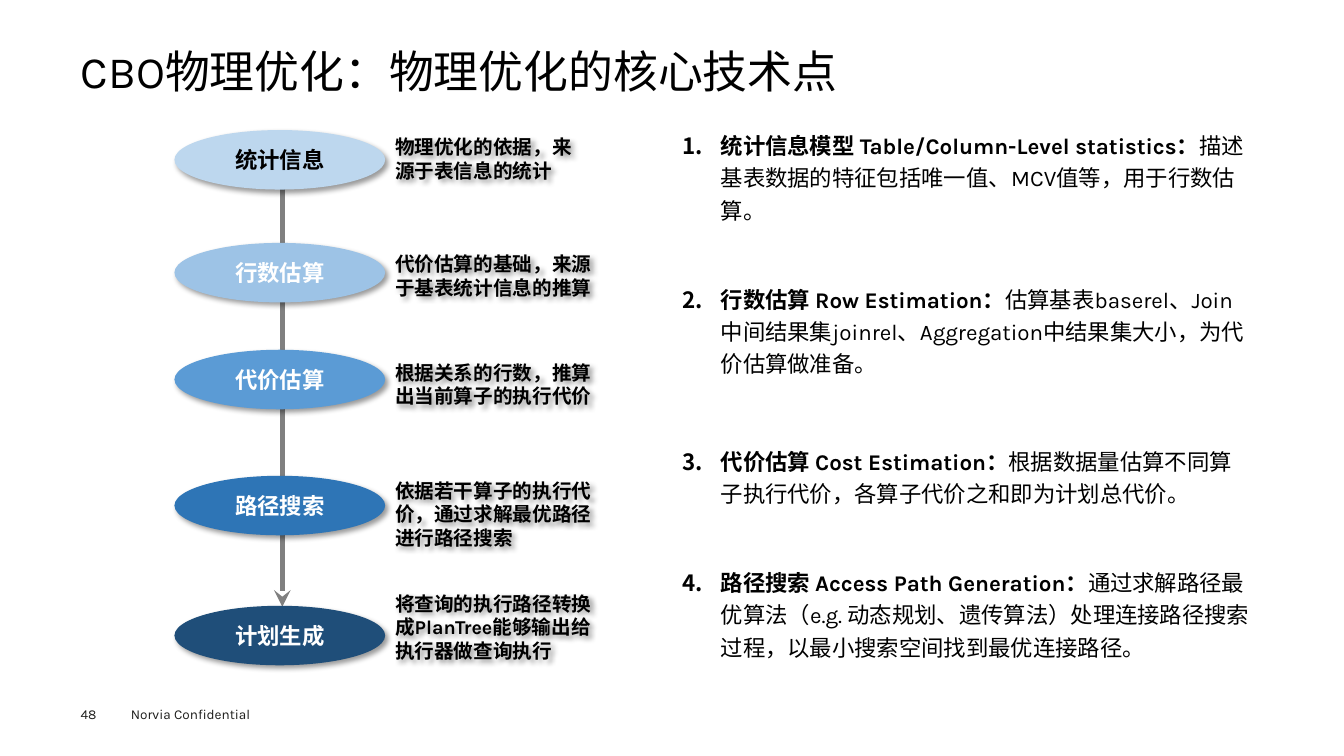
from lxml import etree
from pptx import Presentation
from pptx.dml.color import RGBColor
from pptx.enum.shapes import MSO_CONNECTOR, MSO_SHAPE
from pptx.enum.text import MSO_ANCHOR, MSO_AUTO_SIZE, PP_ALIGN
from pptx.oxml.ns import qn
from pptx.util import Inches, Pt

FONT = "Karla"
COLORS = {
    "black": "000000", "white": "FFFFFF", "footer": "1D1D1B", "flow": "808080",
    "blue1": "BDD7EE", "blue2": "9DC3E6", "blue3": "5B9BD5", "blue4": "2E75B6", "blue5": "1F4E79",
}
STAGE_LEFT, STAGE_WIDTH, STAGE_HEIGHT = 1.73, 2.09, 0.59
CAPTION_LEFT = STAGE_LEFT + STAGE_WIDTH

# stage name, fill, text colour, top, caption, caption top, width and height
STAGES = [
    ("统计信息", "blue1", "black", 1.29, "物理优化的依据，来源于表信息的统计", 1.29, 1.97, 0.57),
    ("行数估算", "blue2", "white", 2.41, "代价估算的基础，来源于基表统计信息的推算", 2.45, 2.23, 0.57),
    ("代价估算", "blue3", "white", 3.47, "根据关系的行数，推算出当前算子的执行代价", 3.53, 2.23, 0.57),
    ("路径搜索", "blue4", "white", 4.72, "依据若干算子的执行代价，通过求解最优路径进行路径搜索", 4.7, 2.23, 0.81),
    ("计划生成", "blue5", "white", 6.01, "将查询的执行路径转换成PlanTree能够输出给执行器做查询执行", 5.82, 2.23, 0.81),
]
# heading, explanation, space before in points
TECHNIQUES = [
    ("统计信息模型 Table/Column-Level statistics：",
     "描述基表数据的特征包括唯一值、MCV值等，用于行数估算。", 0),
    ("行数估算 Row Estimation：",
     "估算基表baserel、Join中间结果集joinrel、Aggregation中结果集大小，为代价估算做准备。", 34.5),
    ("代价估算 Cost Estimation：",
     "根据数据量估算不同算子执行代价，各算子代价之和即为计划总代价。", 41),
    ("路径搜索 Access Path Generation：",
     "通过求解路径最优算法（e.g. 动态规划、遗传算法）处理连接路径搜索过程，以最小搜索空间找到最优连接路径。", 34.5),
]


def rgb(color):
    return RGBColor.from_string(COLORS[color])


def write(paragraph, text, size=16, color="black", bold=False):
    run = paragraph.add_run()
    run.text = text
    run.font.name = FONT
    run.font.size = Pt(size)
    run.font.bold = bold
    run.font.color.rgb = rgb(color)


def add_text_frame(slide, left, top, width, height, inset=None):
    """Add a wrapping text box and return it with its text frame."""
    box = slide.shapes.add_textbox(Inches(left), Inches(top), Inches(width), Inches(height))
    frame = box.text_frame
    frame.word_wrap = True
    if inset is not None:
        set_insets(frame, inset)
    return box, frame


def set_insets(frame, inset):
    frame.margin_left = frame.margin_right = Inches(inset)
    frame.margin_top = frame.margin_bottom = Inches(inset)


def add_shadow(shape):
    """Cast a soft black shadow to the lower right."""
    shape.shadow.inherit = False
    effects = shape._element.spPr.find(qn("a:effectLst"))
    shadow = etree.SubElement(effects, qn("a:outerShdw"), blurRad=str(Pt(4)), dist=str(Pt(3)),
                              dir="2700000", algn="tl", rotWithShape="0")
    color = etree.SubElement(shadow, qn("a:srgbClr"), val=COLORS["black"])
    etree.SubElement(color, qn("a:alpha"), val="40000")


def add_title(slide, text):
    title = slide.shapes.title
    title.left, title.top = Inches(0.8), Inches(0.49)
    title.width, title.height = Inches(11.73), Inches(1.1)
    frame = title.text_frame
    frame.auto_size = MSO_AUTO_SIZE.NONE
    frame.vertical_anchor = MSO_ANCHOR.TOP
    set_insets(frame, 0)
    paragraph = frame.paragraphs[0]
    paragraph.alignment = PP_ALIGN.LEFT
    paragraph.line_spacing = 0.9
    write(paragraph, text, size=32)


def add_flow_arrow(slide):
    arrow = slide.shapes.add_connector(MSO_CONNECTOR.STRAIGHT, Inches(2.8), Inches(1.53),
                                       Inches(2.8), Inches(6.02))
    arrow.line.color.rgb = rgb("flow")
    arrow.line.width = Pt(4)
    etree.SubElement(arrow.line._get_or_add_ln(), qn("a:tailEnd"), type="stealth")
    etree.SubElement(arrow._element.spPr, qn("a:effectLst"))


def add_stage(slide, name, fill, text_color, top):
    stage = slide.shapes.add_shape(MSO_SHAPE.OVAL, Inches(STAGE_LEFT), Inches(top),
                                   Inches(STAGE_WIDTH), Inches(STAGE_HEIGHT))
    stage.fill.solid()
    stage.fill.fore_color.rgb = rgb(fill)
    stage.line.fill.background()
    add_shadow(stage)
    frame = stage.text_frame
    frame.vertical_anchor = MSO_ANCHOR.MIDDLE
    set_insets(frame, 0)
    frame.paragraphs[0].alignment = PP_ALIGN.CENTER
    write(frame.paragraphs[0], name, color=text_color, bold=True)


def add_caption(slide, text, top, width, height):
    box, frame = add_text_frame(slide, CAPTION_LEFT, top, width, height)
    add_shadow(box)
    write(frame.paragraphs[0], text, size=14, bold=True)


def add_techniques(slide):
    """Add the numbered list of techniques."""
    _, frame = add_text_frame(slide, 6.67, 1.21, 5.83, 5.45)
    for index, (heading, explanation, gap) in enumerate(TECHNIQUES):
        paragraph = frame.add_paragraph() if index else frame.paragraphs[0]
        properties = paragraph._p.get_or_add_pPr()
        properties.set("marL", str(Inches(0.38)))
        properties.set("indent", str(Inches(-0.38)))
        etree.SubElement(properties, qn("a:buAutoNum"), type="arabicPeriod")
        paragraph.line_spacing = 1.2
        paragraph.space_after = Pt(6)
        if gap:
            paragraph.space_before = Pt(gap)
        write(paragraph, heading, bold=True)
        write(paragraph, explanation)


def add_footer(slide):
    _, notice = add_text_frame(slide, 1.2, 6.95, 1.6, 0.27)
    write(notice.paragraphs[0], "Norvia Confidential", size=9.7, color="footer")
    _, number = add_text_frame(slide, 0.8, 7, 0.55, 0.16, inset=0)
    write(number.paragraphs[0], "48", size=9.7, color="footer")


def main():
    deck = Presentation()
    deck.slide_width, deck.slide_height = Inches(13.33), Inches(7.5)
    slide = deck.slides.add_slide(deck.slide_layouts[5])
    add_title(slide, "CBO物理优化：物理优化的核心技术点")
    add_flow_arrow(slide)
    for name, fill, text_color, top, caption, *caption_place in STAGES:
        add_stage(slide, name, fill, text_color, top)
        add_caption(slide, caption, *caption_place)
    add_techniques(slide)
    add_footer(slide)
    deck.save("out.pptx")


if __name__ == "__main__":
    main()
